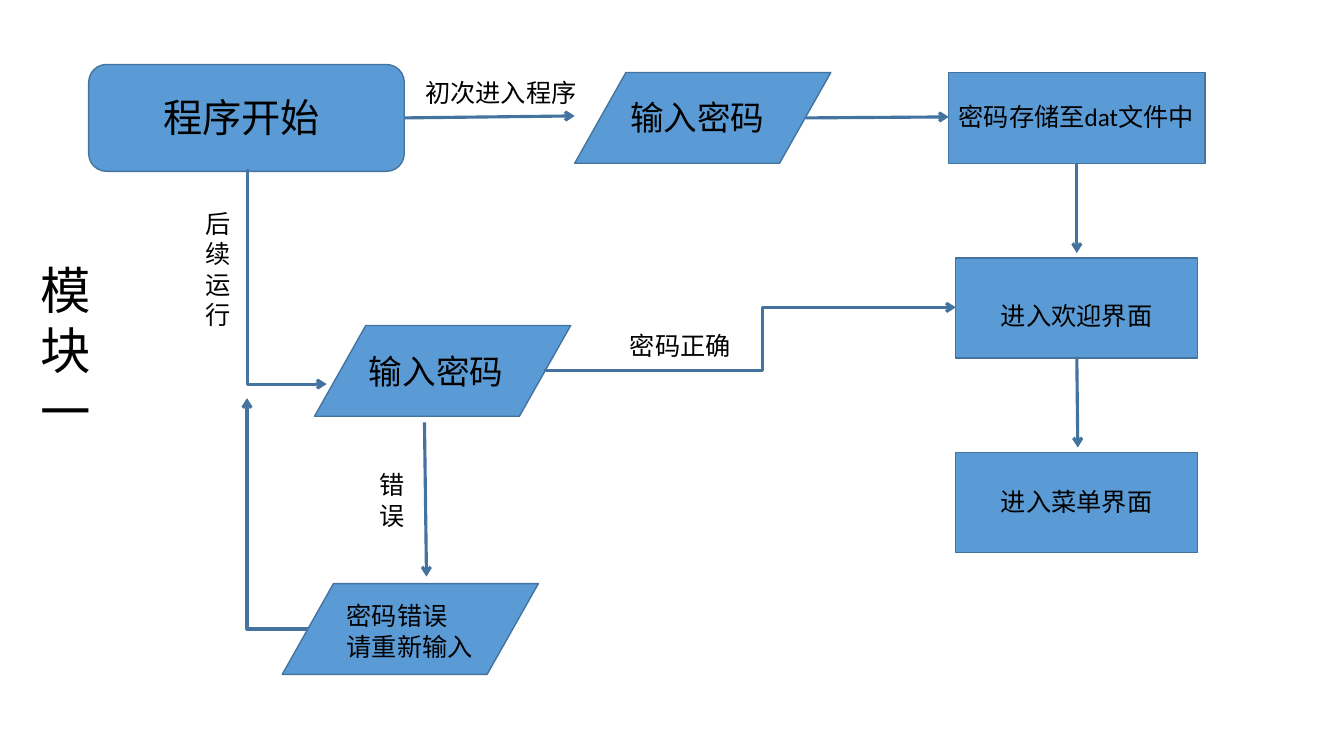
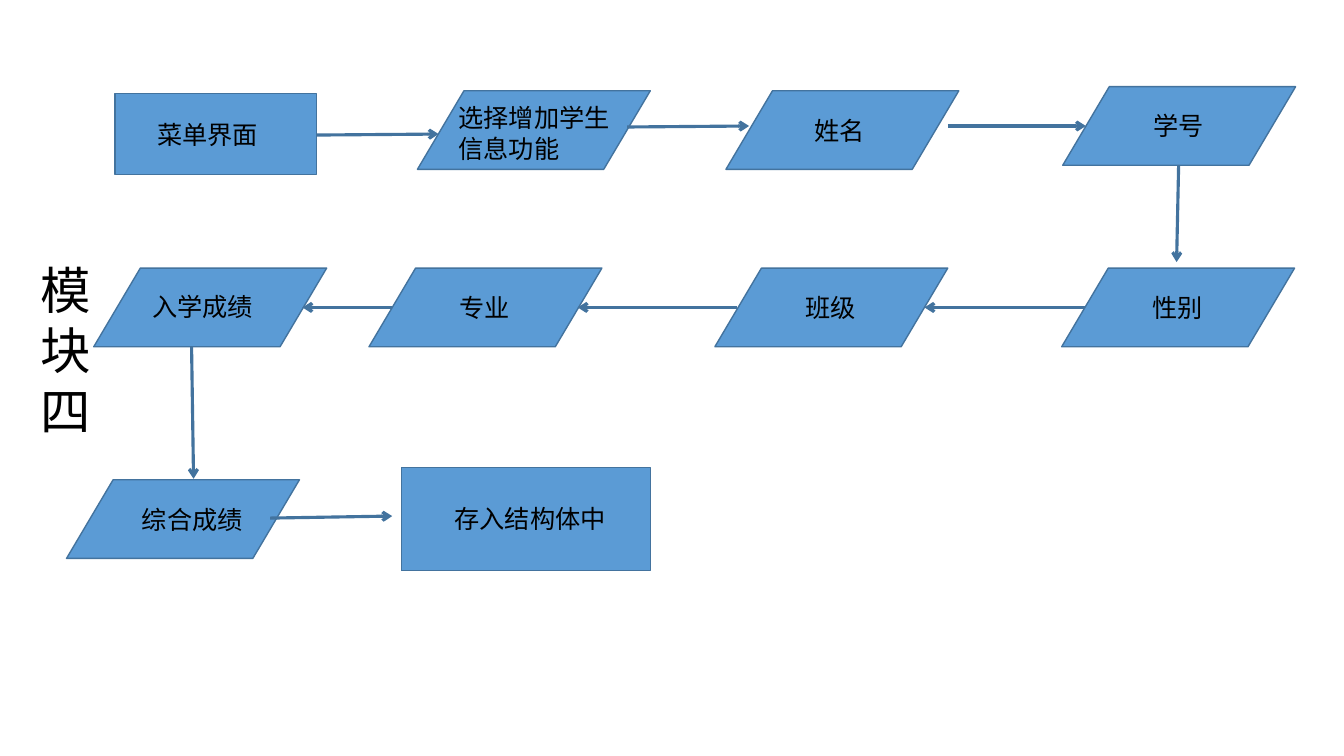
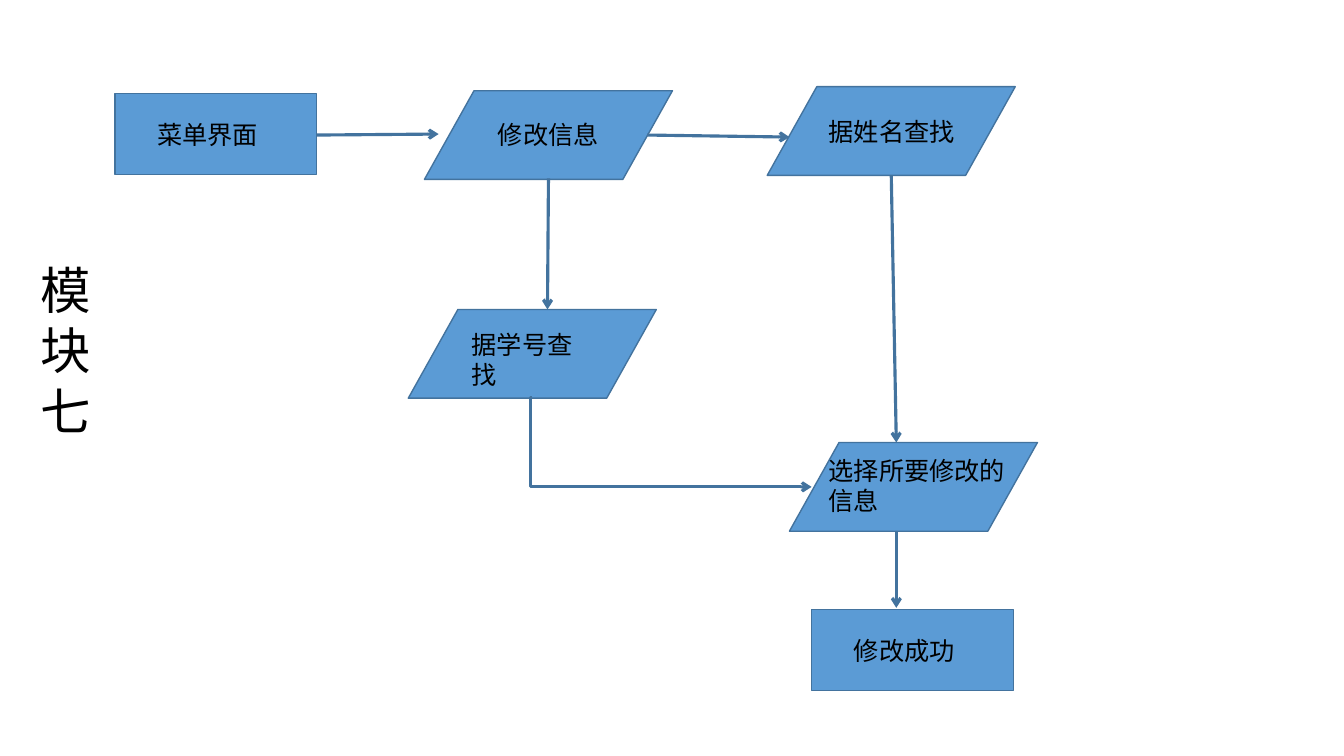
"""Build three flowchart slides for the modules of a student record program."""
from collections import namedtuple

from lxml.etree import SubElement
from pptx import Presentation
from pptx.dml.color import RGBColor
from pptx.enum.shapes import MSO_CONNECTOR as LINK, MSO_SHAPE as SHAPE
from pptx.enum.text import MSO_AUTO_SIZE as FIT
from pptx.oxml.ns import qn
from pptx.util import Pt

PX = 9144
Theme = namedtuple("Theme", "fill edge ink font title start step body border arrow")
theme = Theme(
    fill=RGBColor.from_string("5B9BD5"),
    edge=RGBColor.from_string("43739E"),
    ink=RGBColor.from_string("000000"),
    font="Calibri",
    title=36, start=28, step=24, body=18,
    border=1, arrow=2.25,
)
Flow = namedtuple("Flow", "title nodes arrows elbows labels")
START, STEP, DATA = SHAPE.FLOWCHART_ALTERNATE_PROCESS, SHAPE.FLOWCHART_PROCESS, SHAPE.FLOWCHART_DATA

login = Flow(
    title=["模块一"],
    nodes=[
        (START, 313, 106, [(88, 64)]),
        (DATA, 254, 90, [(570, 72), (312, 323), (280, 579)]),
        (STEP, 254, 90, [(941, 72)]),
        (STEP, 240, 99, [(948, 256), (948, 449)]),
    ],
    arrows=[
        (401, 117, 570, 115), (799, 117, 941, 116), (1068, 162, 1068, 251),
        (1068, 355, 1069, 444), (421, 419, 423, 572),
    ],
    elbows=[
        (246, 169, 324, 381, "bentConnector3", 0, -600),
        (245, 395, 305, 624, "bentConnector2", 180, None),
        (540, 368, 948, 305, "bentConnector3", 0, 53100),
    ],
    labels=[
        (152, 88, ["程序开始"], theme.start, 236),
        (615, 91, ["输入密码"], theme.step, 165),
        (356, 343, ["输入密码"], theme.step, 165),
        (941, 96, ["密码存储至dat文件中"], theme.body, 253),
        (412, 72, ["初次进入程序"], theme.body, None),
        (983, 293, ["进入欢迎界面"], theme.body, None),
        (983, 478, ["进入菜单界面"], theme.body, None),
        (194, 202, list("后续运行"), theme.body, 118),
        (367, 461, list("错误"), theme.body, None),
        (334, 591, ["密码错误", "请重新输入"], theme.body, None),
        (615, 323, ["密码正确"], theme.body, None),
    ],
)

add_student = Flow(
    title=["模块", "四"],
    nodes=[
        (STEP, 200, 80, [(114, 93)]),
        (DATA, 231, 78, [(414, 90), (720, 90), (1054, 86), (66, 476)]),
        (DATA, 231, 78, [(left, 266) for left in (93, 366, 709, 1053)]),
        (STEP, 247, 102, [(398, 464)]),
    ],
    arrows=[
        (314, 134, 435, 133), (622, 126, 743, 125), (940, 125, 1077, 125),
        (1169, 164, 1167, 260), (1076, 305, 917, 305), (731, 305, 573, 305),
        (389, 305, 300, 305), (190, 344, 192, 475), (268, 514, 389, 512),
    ],
    elbows=[],
    labels=[
        (146, 113, ["菜单界面"], theme.body, None),
        (445, 97, ["选择增加学生", "信息功能"], theme.body, None),
        (798, 109, ["姓名"], theme.body, None),
        (1134, 105, ["学号"], theme.body, None),
        (1133, 285, ["性别"], theme.body, None),
        (789, 285, ["班级"], theme.body, 94),
        (446, 285, ["专业"], theme.body, None),
        (141, 284, ["入学成绩"], theme.body, None),
        (131, 495, ["综合成绩"], theme.body, None),
        (441, 494, ["存入结构体中"], theme.body, None),
    ],
)

edit_student = Flow(
    title=["模块", "七"],
    nodes=[
        (STEP, 200, 80, [(114, 93), (805, 605)]),
        (DATA, 246, 88, [(421, 90), (405, 307), (761, 86), (783, 439)]),
    ],
    arrows=[
        (314, 134, 435, 133), (544, 177, 543, 307), (642, 134, 783, 136),
        (884, 174, 889, 439), (889, 528, 889, 603),
    ],
    elbows=[(528, 394, 805, 483, "bentConnector3", 0, -600)],
    labels=[
        (146, 113, ["菜单界面"], theme.body, None),
        (484, 113, ["修改信息"], theme.body, None),
        (458, 322, ["据学号查找"], theme.body, 144),
        (812, 110, ["据姓名查找"], theme.body, None),
        (812, 447, ["选择所要修改的", "信息"], theme.body, None),
        (837, 625, ["修改成功"], theme.body, None),
    ],
)


def add_label(page, left, top, lines, size, width=None):
    em = size * 100 / 72
    fitted = round(max(map(len, lines)) * em) + 20
    height = round(len(lines) * em * 1.2) + 10
    box = page.shapes.add_textbox(left * PX, top * PX, (width or fitted) * PX, height * PX)
    frame = box.text_frame
    frame.word_wrap = width is not None
    frame.auto_size = FIT.SHAPE_TO_FIT_TEXT
    for number, line in enumerate(lines):
        para = frame.add_paragraph() if number else frame.paragraphs[0]
        span = para.add_run()
        span.text = line
        span.font.name = theme.font
        span.font.size = Pt(size)
        span.font.color.rgb = theme.ink


def add_arrow(page, kind, *ends):
    link = page.shapes.add_connector(kind, *(end * PX for end in ends))
    link.line.color.rgb = theme.edge
    link.line.width = Pt(theme.arrow)
    properties = link._element.spPr
    SubElement(properties.find(qn("a:ln")), qn("a:tailEnd"), type="arrow")
    SubElement(properties, qn("a:effectLst"))
    return properties


deck = Presentation()
deck.slide_width, deck.slide_height = 1333 * PX, 750 * PX

for flow in (login, add_student, edit_student):
    page = deck.slides.add_slide(deck.slide_layouts[6])

    for kind, width, height, corners in flow.nodes:
        for left, top in corners:
            node = page.shapes.add_shape(kind, left * PX, top * PX, width * PX, height * PX)
            node.shadow.inherit = False
            node.fill.solid()
            node.fill.fore_color.rgb = theme.fill
            node.line.color.rgb = theme.edge
            node.line.width = Pt(theme.border)

    for ends in flow.arrows:
        add_arrow(page, LINK.STRAIGHT, *ends)

    for *ends, preset, turn, bend in flow.elbows:
        properties = add_arrow(page, LINK.ELBOW, *ends)
        geometry = properties.find(qn("a:prstGeom"))
        geometry.set("prst", preset)
        if turn:
            properties.find(qn("a:xfrm")).set("rot", str(turn * 60000))
        if bend is not None:
            guides = geometry.find(qn("a:avLst"))
            SubElement(guides, qn("a:gd"), name="adj1", fmla=f"val {bend}")

    for label in flow.labels:
        add_label(page, *label)
    add_label(page, 33, 252, flow.title, theme.title, 17)

deck.save("out.pptx")
